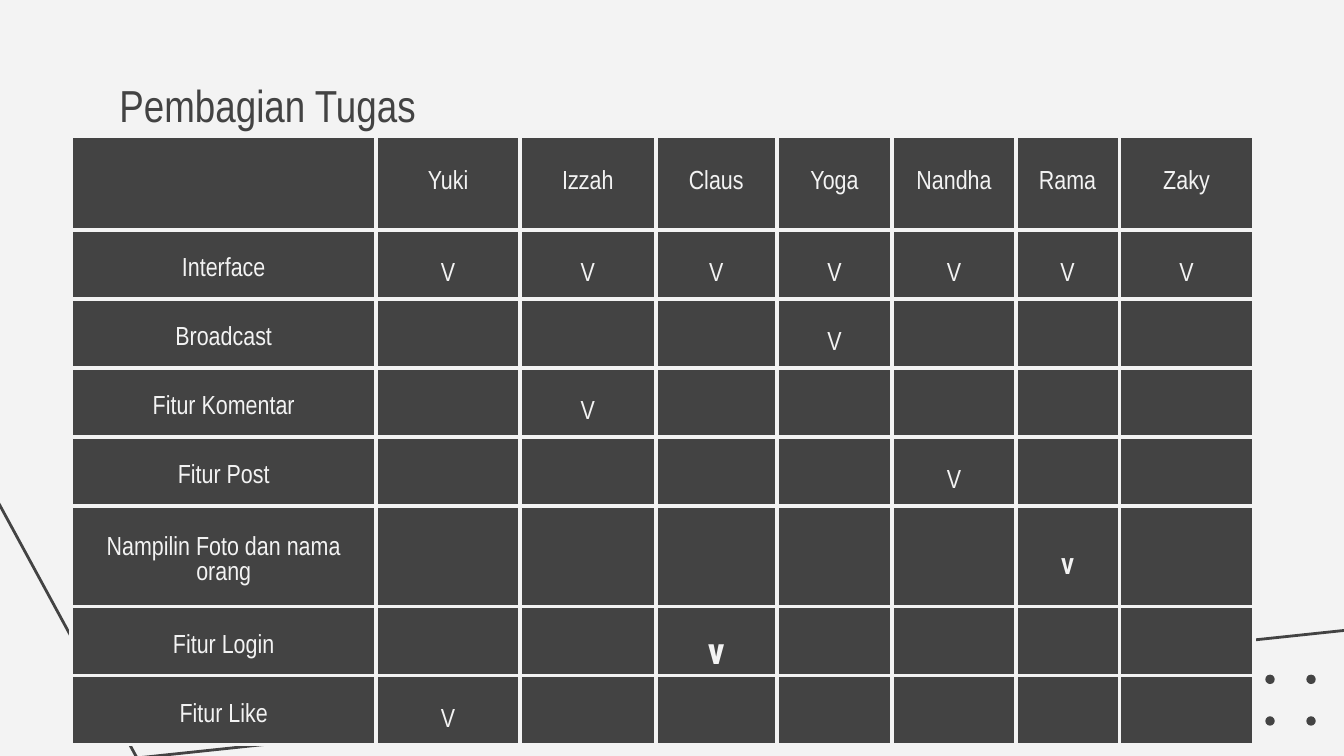
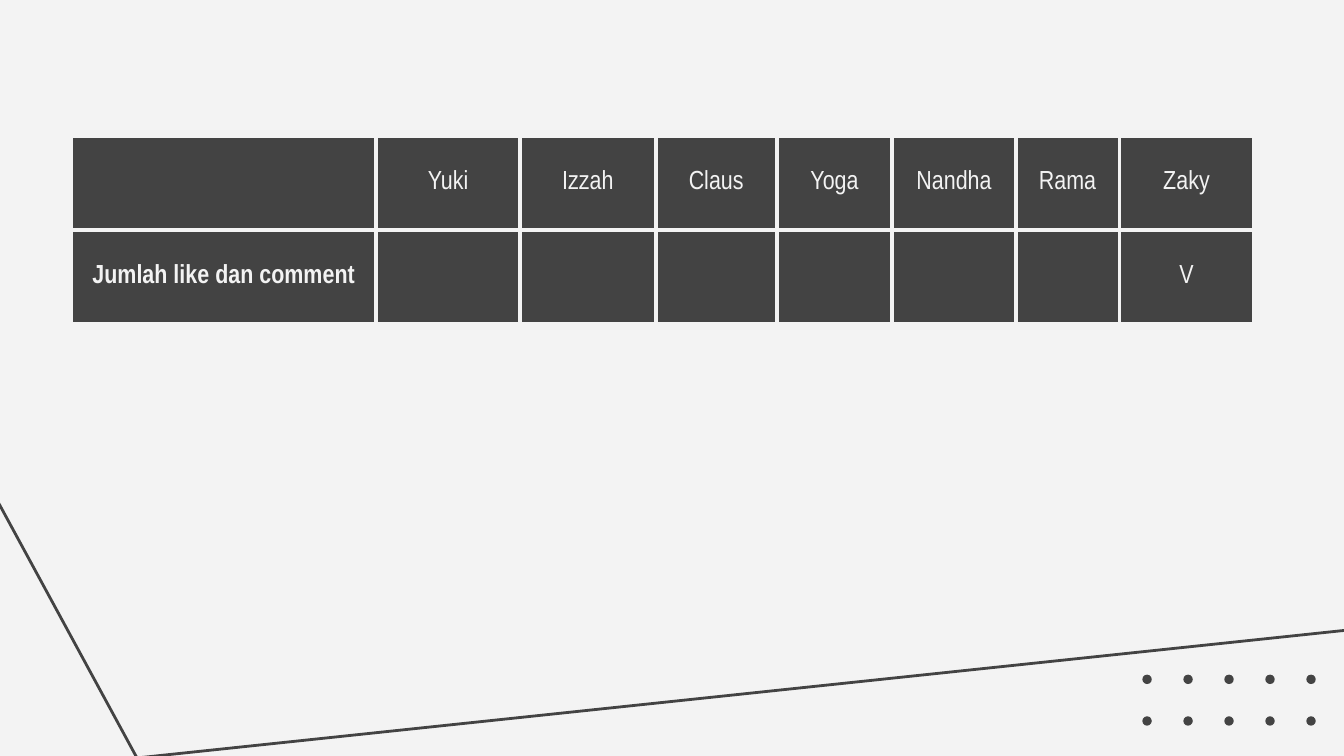
from dataclasses import dataclass
from typing import NamedTuple

from lxml.etree import SubElement
from pptx import Presentation
from pptx.dml.color import RGBColor
from pptx.enum.shapes import MSO_SHAPE as Preset
from pptx.enum.text import MSO_ANCHOR as Anchor, PP_ALIGN as Align
from pptx.oxml.ns import qn
from pptx.util import Inches, Pt

COLORS = {"paper": "F3F3F3", "ink": "434343"}
NAMES = ["Yuki", "Izzah", "Claus", "Yoga", "Nandha", "Rama", "Zaky"]
COLUMN_WIDTHS = [2.27, 1.07, 1.01, 0.9, 0.86, 0.92, 0.77, 1]
TABLE_LEFT, TABLE_TOP = 0.53, 1.01
HEADER_HEIGHT = 0.7
BORDER_WIDTH = Pt(2.25)


class TextStyle(NamedTuple):
    size: float = 14
    font: str = "Arial Narrow"
    bold: bool = False
    color: str = "paper"


class Padding(NamedTuple):
    top: float = 0.1
    bottom: float = 0.1


BODY = TextStyle()
BOLD = TextStyle(bold=True)
TITLE = TextStyle(size=24, color="ink")
EVEN = Padding()
LABEL = Padding(top=0.18)
MARK = Padding(top=0.16, bottom=0)


@dataclass
class Task:
    label: str
    owners: list[str]
    height: float = 0.51
    mark: str = "V"
    label_style: TextStyle = BODY
    mark_style: TextStyle = BODY
    label_padding: Padding = LABEL
    mark_padding: Padding = MARK


MAIN_TASKS = [
    Task("Interface", NAMES),
    Task("Broadcast", ["Yoga"]),
    Task("Fitur Komentar", ["Izzah"]),
    Task("Fitur Post", ["Nandha"]),
    Task("Nampilin Foto dan nama orang", ["Rama"], height=0.74,
         mark_style=TextStyle(12, "Roboto Condensed", True)),
    Task("Fitur Login", ["Claus"], mark="v",
         mark_style=TextStyle(20, "Roboto Condensed", True)),
    Task("Fitur Like", ["Yuki"]),
]
EXTRA_TASKS = [
    Task("Jumlah like dan comment", ["Zaky"], height=HEADER_HEIGHT,
         label_style=BOLD, label_padding=EVEN, mark_padding=EVEN),
]


def rgb(name: str) -> RGBColor:
    return RGBColor.from_string(COLORS[name])


def add_span(para, text: str, style: TextStyle) -> None:
    span = para.add_run()
    span.text = text
    span.font.size = Pt(style.size)
    span.font.name = style.font
    span.font.bold = style.bold
    span.font.color.rgb = rgb(style.color)


def add_dots(page) -> None:
    group = page.shapes.add_group_shape()
    for row in range(2):
        for column in range(5):
            dot = group.shapes.add_shape(
                Preset.OVAL, Inches(8.5 + 0.305 * column), Inches(5.02 + 0.31 * row),
                Inches(0.07), Inches(0.07))
            dot.shadow.inherit = False
            dot.fill.solid()
            dot.fill.fore_color.rgb = rgb("ink")
            dot.line.fill.background()


def add_corner_line(page) -> None:
    builder = page.shapes.build_freeform(Inches(-0.12), Inches(3.54))
    builder.add_line_segments(
        [(Inches(1.02), Inches(5.64)), (Inches(10.11), Inches(4.68))], close=False)
    line = builder.convert_to_shape()
    line.shadow.inherit = False
    line.fill.background()
    line.line.color.rgb = rgb("ink")
    line.line.width = Pt(1.5)


def add_page(deck):
    page = deck.slides.add_slide(deck.slide_layouts[6])
    page.background.fill.solid()
    page.background.fill.fore_color.rgb = rgb("paper")
    add_dots(page)
    add_corner_line(page)
    return page


def add_title(page, text: str) -> None:
    box = page.shapes.add_textbox(Inches(0.79), Inches(0.39), Inches(3.52), Inches(0.91))
    frame = box.text_frame
    frame.word_wrap = True
    frame.margin_left = frame.margin_right = frame.margin_bottom = Inches(0.1)
    frame.margin_top = Inches(0.19)
    add_span(frame.paragraphs[0], text, TITLE)


def style_cell(cell) -> None:
    """Give a cell its borders, then its fill, in schema order."""
    properties = cell._tc.get_or_add_tcPr()
    for side in ("a:lnL", "a:lnR", "a:lnT", "a:lnB"):
        border = SubElement(properties, qn(side), w=str(BORDER_WIDTH))
        fill = SubElement(border, qn("a:solidFill"))
        SubElement(fill, qn("a:srgbClr"), val=COLORS["paper"])
    cell.fill.solid()
    cell.fill.fore_color.rgb = rgb("ink")


def write_cell(cell, text: str, style: TextStyle, padding: Padding) -> None:
    cell.vertical_anchor = Anchor.MIDDLE
    cell.margin_left = cell.margin_right = Inches(0.1)
    cell.margin_top = Inches(padding.top)
    cell.margin_bottom = Inches(padding.bottom)
    para = cell.text_frame.paragraphs[0]
    para.alignment = Align.CENTER
    add_span(para, text, style)


def add_task_table(page, tasks: list[Task]) -> None:
    heights = [HEADER_HEIGHT] + [task.height for task in tasks]
    table = page.shapes.add_table(
        len(heights), len(COLUMN_WIDTHS), Inches(TABLE_LEFT), Inches(TABLE_TOP),
        Inches(sum(COLUMN_WIDTHS)), Inches(sum(heights))).table
    table.first_row = table.horz_banding = False
    for column, width in zip(table.columns, COLUMN_WIDTHS):
        column.width = Inches(width)
    for row, height in zip(table.rows, heights):
        row.height = Inches(height)
    for cell in table.iter_cells():
        style_cell(cell)
    for column, name in enumerate(NAMES, start=1):
        write_cell(table.cell(0, column), name, BODY, EVEN)
    for row, task in enumerate(tasks, start=1):
        write_cell(table.cell(row, 0), task.label, task.label_style, task.label_padding)
        for owner in task.owners:
            cell = table.cell(row, NAMES.index(owner) + 1)
            write_cell(cell, task.mark, task.mark_style, task.mark_padding)


def main() -> None:
    deck = Presentation()
    deck.slide_width, deck.slide_height = Inches(10), Inches(5.625)
    main_page = add_page(deck)
    add_title(main_page, "Pembagian Tugas")
    add_task_table(main_page, MAIN_TASKS)
    add_task_table(add_page(deck), EXTRA_TASKS)
    deck.save("out.pptx")


if __name__ == "__main__":
    main()
